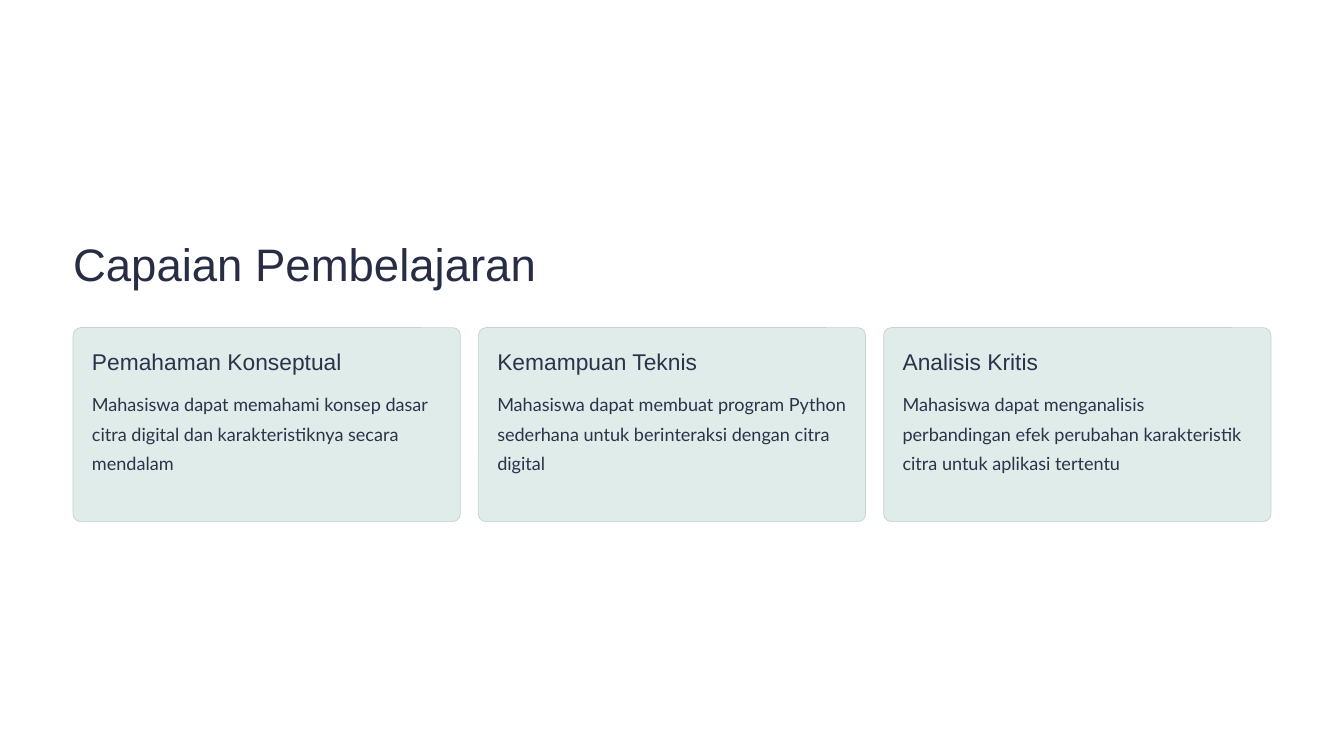
from pptx import Presentation
from pptx.dml.color import RGBColor
from pptx.enum.shapes import MSO_SHAPE
from pptx.enum.text import MSO_ANCHOR, MSO_AUTO_SIZE, PP_ALIGN
from pptx.util import Inches, Pt

ROUND = MSO_SHAPE.ROUNDED_RECTANGLE
TOP = MSO_ANCHOR.TOP
FIXED = MSO_AUTO_SIZE.NONE
LEFT = PP_ALIGN.LEFT

COLORS = {
    "page": "FFFFFF",
    "title": "272D45",
    "text": "2C3249",
    "card": "DFECE9",
    "edge": "C5D2CF",
}

CARDS = [
    ("Pemahaman Konseptual",
     "Mahasiswa dapat memahami konsep dasar citra digital dan "
     "karakteristiknya secara mendalam"),
    ("Kemampuan Teknis",
     "Mahasiswa dapat membuat program Python sederhana untuk "
     "berinteraksi dengan citra digital"),
    ("Analisis Kritis",
     "Mahasiswa dapat menganalisis perbandingan efek perubahan "
     "karakteristik citra untuk aplikasi tertentu"),
]

PAGE_WIDTH = 16
MARGIN = 0.87
CARD_TOP = 3.9
CARD_WIDTH = 4.61
CARD_HEIGHT = 2.31
PITCH = (PAGE_WIDTH - 2 * MARGIN - CARD_WIDTH) / (len(CARDS) - 1)
TEXT_WIDTH = 4.16
PAD = (CARD_WIDTH - TEXT_WIDTH) / 2


def color(name):
    return RGBColor.from_string(COLORS[name])


def box(left, top, width, height):
    return Inches(left), Inches(top), Inches(width), Inches(height)


def write(shape, text, size, font, tint, leading, wrap=False):
    frame = shape.text_frame
    frame.auto_size = FIXED
    frame.word_wrap = wrap
    frame.vertical_anchor = TOP
    frame.margin_left = frame.margin_right = 0
    frame.margin_top = frame.margin_bottom = 0
    line = frame.paragraphs[0]
    line.alignment = LEFT
    line.line_spacing = Pt(leading)
    run = line.add_run()
    run.text = text
    run.font.size = Pt(size)
    run.font.name = font
    run.font.color.rgb = color(tint)


def add_title(slide, text):
    title = slide.shapes.title
    title.left, title.top, title.width, title.height = box(
        MARGIN, 2.79, 6, 0.68)
    write(title, text, 39, "Arial", "title", 48.5)


def add_card(slide, left, head, body):
    shapes = slide.shapes
    card = shapes.add_shape(
        ROUND, *box(left, CARD_TOP, CARD_WIDTH, CARD_HEIGHT))
    card.adjustments[0] = 0.04
    card.shadow.inherit = False
    card.fill.solid()
    card.fill.fore_color.rgb = color("card")
    card.line.color.rgb = color("edge")
    card.line.width = Pt(0.6)

    inner = left + PAD
    label = shapes.add_textbox(*box(inner, 4.13, 2.91, 0.34))
    write(label, head, 19.5, "Arial", "text", 24)
    detail = shapes.add_textbox(*box(inner, 4.6, TEXT_WIDTH, 1.04))
    write(detail, body, 15.5, "Lato", "text", 25, wrap=True)


def main():
    deck = Presentation()
    deck.slide_width = Inches(PAGE_WIDTH)
    deck.slide_height = Inches(9)
    slide = deck.slides.add_slide(deck.slide_layouts[5])
    slide.background.fill.solid()
    slide.background.fill.fore_color.rgb = color("page")
    add_title(slide, "Capaian Pembelajaran")
    for index, (head, body) in enumerate(CARDS):
        add_card(slide, MARGIN + index * PITCH, head, body)
    deck.save("out.pptx")


if __name__ == "__main__":
    main()
